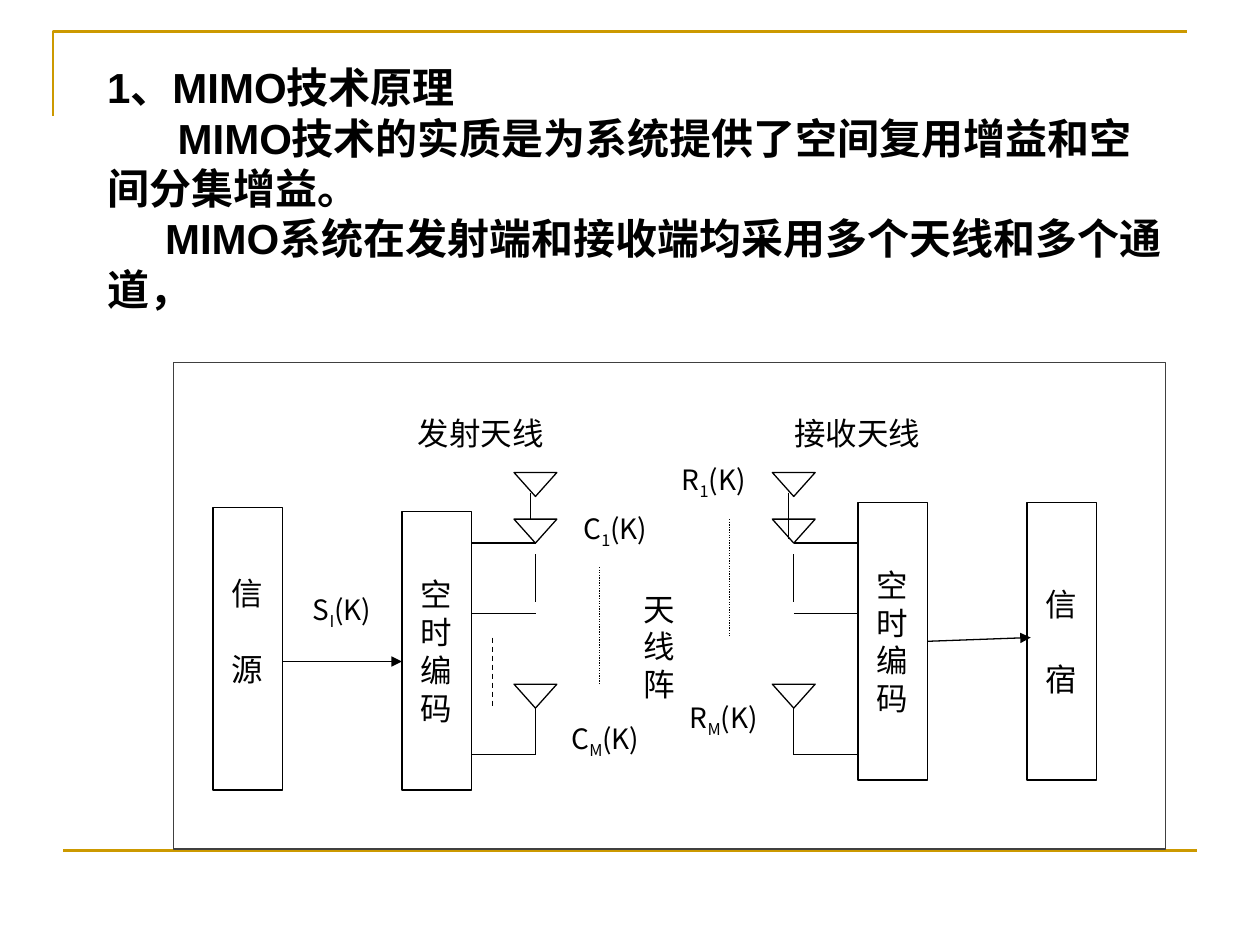
import pptx
import pptx.util
import pptx.dml.color
from lxml import etree
from pptx.enum.dml import MSO_LINE
from pptx.enum.shapes import MSO_CONNECTOR, MSO_SHAPE
from pptx.enum.text import MSO_ANCHOR, MSO_AUTO_SIZE, PP_ALIGN
from pptx.oxml.ns import qn

Inches, Pt = pptx.util.Inches, pptx.util.Pt
BLACK, GOLD, GREY = "000000", "CC9900", "404040"
CJK = "Noto Sans CJK SC"

# text, first-line indent
INTRO = [
    ("1、MIMO技术原理", 0),
    ("MIMO技术的实质是为系统提供了空间复用增益和空间分集增益。", 0.56),
    ("MIMO系统在发射端和接收端均采用多个天线和多个通道，", 0.46),
]
# text, left, top, height, font, gap in points, top inset (None: centred)
BLOCKS = [
    ("信源", 1.69, 4.03, 2.24, "Times New Roman", 21.6, 0.53),
    ("空时编码", 3.19, 4.06, 2.21, "Arial", 0, None),
    ("空时编码", 6.81, 3.99, 2.2, "Arial", 0, None),
    ("信宿", 8.15, 3.99, 2.2, "Arial", 21.6, None),
]
BLOCK_W = 0.55
# lines of text, box
LABELS = [
    (["发射天线"], (2.95, 3.2, 1.73, 0.47)),
    (["接收天线"], (5.94, 3.2, 1.73, 0.47)),
    (list("天线阵"), (5, 4.38, 0.47, 1.5)),
]
# letter, subscript, box
SIGNALS = [
    ("S", "I", (2.32, 4.69, 0.79, 0.32)),
    ("C", "1", (4.53, 4.06, 0.71, 0.31)),
    ("R", "1", (5.31, 3.67, 0.71, 0.31)),
    ("C", "M", (4.45, 5.72, 0.71, 0.31)),
    ("R", "M", (5.39, 5.56, 0.71, 0.31)),
]
# antenna centre, edge of its coder, foot of its mast
ARRAYS = [(4.25, 3.74, 4.12), (6.3, 6.81, 4.28)]
HEADS = [3.75, 4.12, 5.43]
FEEDS = [4.31, 4.87, 5.99]
STEMS = [(4.4, 4.78), (5.62, 5.99)]
HEAD_W, HEAD_H = 0.34, 0.19
ARROWS = [(2.24, 5.25, 3.19, 5.25), (7.36, 5.09, 8.18, 5.06)]
# x, top, bottom, dash
DOTS = [
    (3.91, 5.06, 5.62, MSO_LINE.DASH),
    (4.76, 4.5, 5.43, MSO_LINE.ROUND_DOT),
    (5.79, 4.12, 5.06, MSO_LINE.ROUND_DOT),
]

deck = pptx.Presentation()
deck.slide_width, deck.slide_height = Inches(10), Inches(7.5)
slide = deck.slides.add_slide(deck.slide_layouts[5])
shapes = slide.shapes


def rgb(code):
    return pptx.dml.color.RGBColor.from_string(code)


def lengths(box):
    return [Inches(v) for v in box]


def ink(line, color=BLACK, width=0.75):
    line.color.rgb = rgb(color)
    line.width = Pt(width)


def wire(x1, y1, x2, y2, color=BLACK, width=0.75, dash=None, arrow=False):
    line = shapes.add_connector(MSO_CONNECTOR.STRAIGHT, *lengths((x1, y1, x2, y2)))
    ink(line.line, color, width)
    if dash:
        line.line.dash_style = dash
    props = line._element.spPr
    if arrow:
        etree.SubElement(props.find(qn("a:ln")), qn("a:tailEnd"), type="triangle")
    etree.SubElement(props, qn("a:effectLst"))


def outline(kind, box, color=BLACK):
    shape = shapes.add_shape(kind, *lengths(box))
    shape.shadow.inherit = False
    shape.fill.background()
    ink(shape.line, color)
    return shape


def add_run(para, text, size, font, bold=False, base=0):
    run = para.add_run()
    run.text = text
    run.font.size, run.font.name, run.font.bold = Pt(size), font, bold
    run.font.color.rgb = rgb(BLACK)
    props = run._r.get_or_add_rPr()
    etree.SubElement(props, qn("a:ea"), typeface=CJK)
    if base:
        props.set("baseline", str(base * 1000))


def set_frame(frame, anchor, wrap):
    frame.auto_size = MSO_AUTO_SIZE.NONE
    frame.word_wrap = wrap
    frame.vertical_anchor = anchor
    frame.margin_left = frame.margin_right = Inches(0.1)
    frame.margin_top = frame.margin_bottom = Inches(0.05)


def add_paras(frame, count, align):
    """Yield the paragraphs of an empty frame, adding those it lacks."""
    for i in range(count):
        para = frame.add_paragraph() if i else frame.paragraphs[0]
        para.alignment = align
        yield para


def stack(frame, rows, font="Arial", gap=0):
    """Write centred rows, one paragraph each."""
    set_frame(frame, MSO_ANCHOR.MIDDLE, False)
    for i, para in enumerate(add_paras(frame, len(rows), PP_ALIGN.CENTER)):
        if i and gap:
            para.space_before = Pt(gap)
        add_run(para, rows[i], 18, font)


# Page rules and opening text
path = shapes.build_freeform(Inches(0.42), Inches(0.92))
path.add_line_segments([lengths(p) for p in [(0.42, 0.25), (9.42, 0.25)]], close=False)
corner = path.convert_to_shape()
corner.shadow.inherit = False
corner.fill.background()
ink(corner.line, GOLD, 1.5)
wire(0.5, 6.75, 9.5, 6.75, GOLD, 1.5)

title = shapes.title
title.left, title.top, title.width, title.height = lengths((0.75, 0.44, 8.58, 2.1))
set_frame(title.text_frame, MSO_ANCHOR.TOP, True)
paras = add_paras(title.text_frame, len(INTRO), PP_ALIGN.LEFT)
for para, (text, indent) in zip(paras, INTRO):
    para._p.get_or_add_pPr().set("indent", str(Inches(indent)))
    add_run(para, text, 24, "Arial", bold=True)

# Blocks and labels
for text, x, y, height, font, gap, inset in BLOCKS:
    block = outline(MSO_SHAPE.RECTANGLE, (x, y, BLOCK_W, height))
    stack(block.text_frame, list(text), font, gap)
    if inset:
        block.text_frame.vertical_anchor = MSO_ANCHOR.TOP
        block.text_frame.margin_top = Inches(inset)
for rows, box in LABELS:
    stack(shapes.add_textbox(*lengths(box)).text_frame, rows)
for letter, sub, box in SIGNALS:
    frame = shapes.add_textbox(*lengths(box)).text_frame
    set_frame(frame, MSO_ANCHOR.MIDDLE, False)
    para = frame.paragraphs[0]
    para.alignment = PP_ALIGN.CENTER
    for text, base in [(letter, 0), (sub, -25), ("(K)", 0)]:
        add_run(para, text, 16, CJK, base=base)

# Antenna arrays and links
for mid, edge, foot in ARRAYS:
    for y in HEADS:
        outline(MSO_SHAPE.FLOWCHART_MERGE, (mid - HEAD_W / 2, y, HEAD_W, HEAD_H))
    for y in FEEDS:
        wire(min(mid, edge), y, max(mid, edge), y)
    for top, end in STEMS:
        wire(mid, top, mid, end)
    wire(mid - 0.04, 3.91, mid - 0.04, foot)
for ends in ARROWS:
    wire(*ends, arrow=True)
for x, top, end, dash in DOTS:
    wire(x, top, x, end, dash=dash)
outline(MSO_SHAPE.RECTANGLE, (1.38, 2.88, 7.87, 3.86), GREY)

deck.save("out.pptx")
